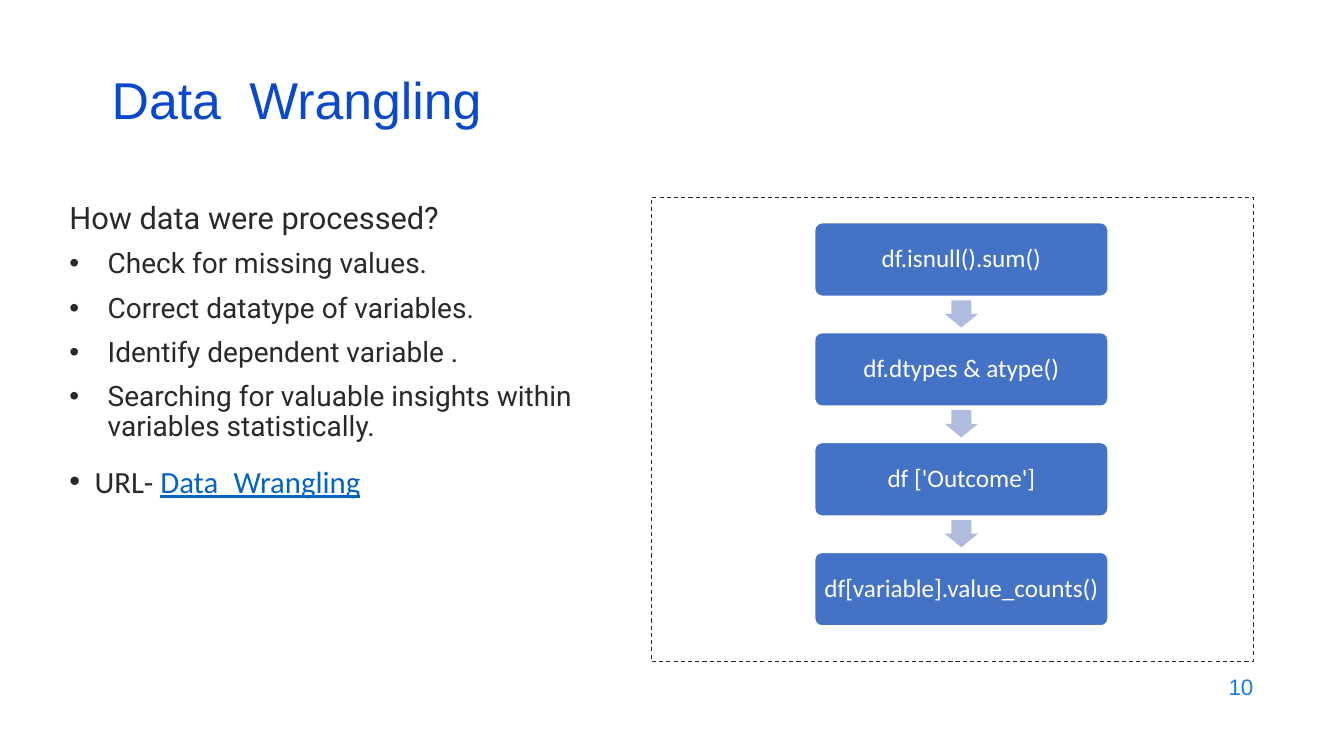
from lxml.etree import SubElement
from pptx import Presentation
from pptx.dml.color import RGBColor
from pptx.enum.dml import MSO_LINE_DASH_STYLE as Dash
from pptx.enum.shapes import MSO_SHAPE as Kind
from pptx.enum.text import MSO_ANCHOR as Anchor, PP_ALIGN as Align
from pptx.oxml.ns import qn
from pptx.util import Inches, Pt

BLUE, INK, WHITE = "0B49CB", "292929", "FFFFFF"


def tint(code):
    return RGBColor.from_string(code)


class Board:
    def __init__(self, slide):
        self.shapes = slide.shapes

    def style(self, run, size, face, color):
        font = run.font
        font.size, font.name = Pt(size), face
        font.color.rgb = tint(color)

    def label(self, box, text, size, face, color, align=Align.LEFT, lead=1.0):
        """Write one vertically centred paragraph into a box."""
        frame = box.text_frame
        frame.word_wrap = True
        frame.vertical_anchor = Anchor.MIDDLE
        frame.text = text
        para = frame.paragraphs[0]
        para.alignment, para.line_spacing = align, lead
        self.style(para.runs[0], size, face, color)
        return para

    def box(self, left, top, width, height):
        box = self.shapes.add_textbox(
            Inches(left), Inches(top), Inches(width), Inches(height))
        box.text_frame.word_wrap = True
        return box

    def shape(self, kind, left, top, width, height, fill=None, adjust=()):
        shape = self.shapes.add_shape(
            kind, Inches(left), Inches(top), Inches(width), Inches(height))
        shape.shadow.inherit = False
        for index, value in enumerate(adjust):
            shape.adjustments[index] = value
        if fill:
            shape.fill.solid()
            shape.fill.fore_color.rgb = tint(fill)
        else:
            shape.fill.background()
        shape.line.fill.background()
        return shape

    def edge(self, shape, color, width, dash=None):
        shape.line.color.rgb = tint(color)
        shape.line.width = Pt(width)
        if dash:
            shape.line.dash_style = dash

    def bullet(self, para, indent):
        props = para._p.get_or_add_pPr()
        props.set("marL", str(Inches(indent)))
        props.set("indent", str(-Inches(indent)))
        SubElement(props, qn("a:buFont")).set("typeface", "Arial")
        SubElement(props, qn("a:buChar")).set("char", "•")

    def step(self, text, top):
        card = self.shape(Kind.ROUNDED_RECTANGLE, 8.08, top, 2.91, 0.73,
                          "4472C4", [0.1])
        self.edge(card, WHITE, 1)
        frame = card.text_frame
        frame.margin_left = frame.margin_right = Inches(0.07)
        frame.margin_top = frame.margin_bottom = Inches(0.07)
        self.label(card, text, 18, "Calibri", WHITE, Align.CENTER, 0.9)


def main():
    deck = Presentation()
    deck.slide_width, deck.slide_height = Inches(13.33), Inches(7.5)
    board = Board(deck.slides.add_slide(deck.slide_layouts[6]))

    title = board.label(board.box(1.01, 0.76, 11.5, 0.6), "Data",
                        37, "Arial", BLUE, lead=0.7)
    for text in (" ", "Wrangling"):
        run = title.add_run()
        run.text = text
        board.style(run, 37, "Arial", BLUE)
    # Widen the gap between the two words
    title.runs[1].font._element.set("spc", "1000")

    board.label(board.box(9.53, 6.59, 3, 0.44), "10", 16, "Arial",
                "1C7DDB", Align.RIGHT)

    frame = board.box(0.59, 1.96, 5.88, 5.25).text_frame
    frame.text = "How data were processed?"
    head = frame.paragraphs[0]
    head.line_spacing = 0.9
    board.style(head.runs[0], 22, "Roboto", INK)
    tasks = [
        "Check for missing values.",
        "Correct datatype of variables.",
        "Identify dependent variable .",
        "Searching for valuable insights within variables statistically.",
    ]
    for task in tasks:
        para = frame.add_paragraph()
        para.text = task
        para.line_spacing, para.space_before = 0.9, Pt(10)
        board.bullet(para, 0.38)
        board.style(para.runs[0], 20, "Roboto", INK)
    para = frame.add_paragraph()
    para.space_before = Pt(14)
    board.bullet(para, 0.25)
    for text, color in (("URL- ", INK), ("Data_Wrangling", "0563C1")):
        run = para.add_run()
        run.text = text
        board.style(run, 22, "Calibri", color)
    para.runs[-1].font.underline = True

    panel = board.shape(Kind.RECTANGLE, 6.46, 1.96, 5.97, 4.6)
    board.edge(panel, INK, 0.75, Dash.DASH)

    steps = ["df.isnull().sum()", "df.dtypes & atype()",
             "df ['Outcome']", "df[variable].value_counts()"]
    for index, text in enumerate(steps):
        top = 2.21 + 1.09 * index
        board.step(text, top)
        if index < len(steps) - 1:
            board.shape(Kind.DOWN_ARROW, 9.37, top + 0.77, 0.33, 0.27,
                        "B0BCDE", [0.6, 0.5])

    deck.save("out.pptx")


if __name__ == "__main__":
    main()
